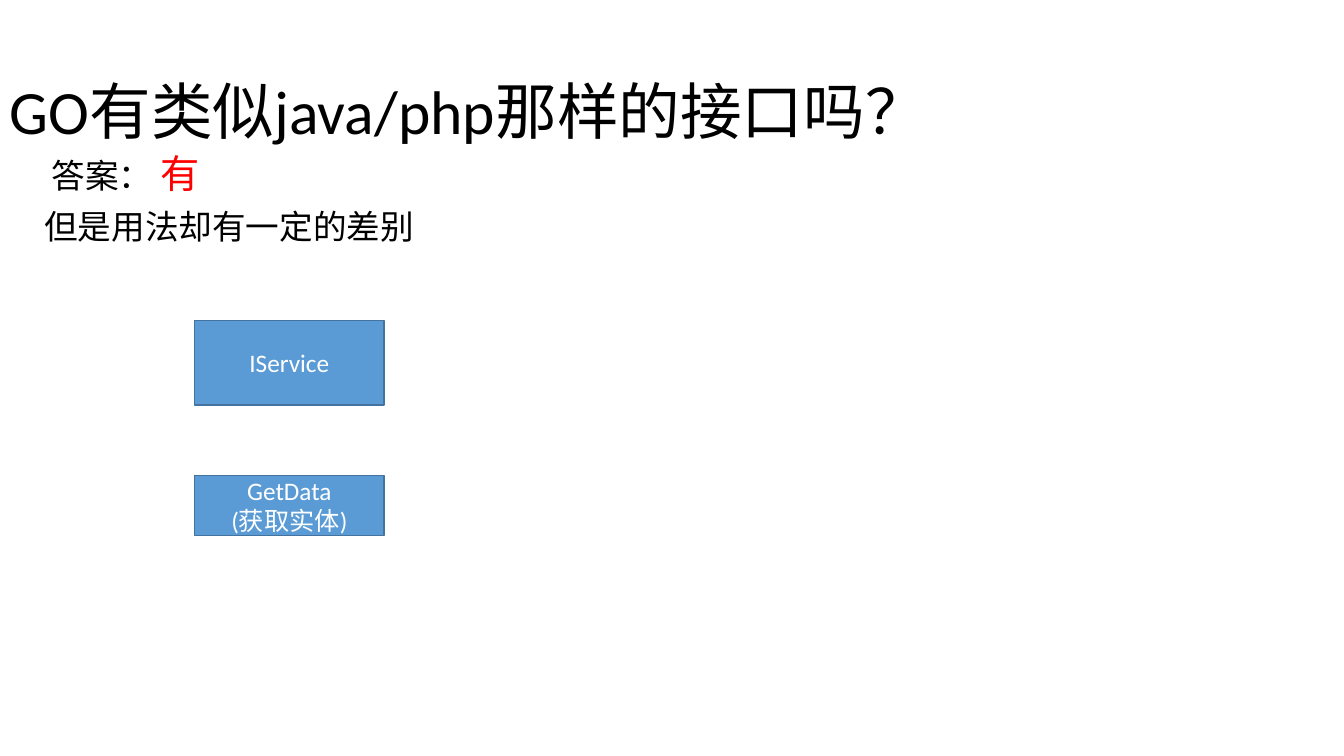
from pptx import Presentation
from pptx.dml.color import RGBColor
from pptx.enum.shapes import MSO_SHAPE
from pptx.enum.text import MSO_ANCHOR, PP_ALIGN
from pptx.util import Inches, Pt

RECTANGLE = MSO_SHAPE.RECTANGLE
TOP, MIDDLE = MSO_ANCHOR.TOP, MSO_ANCHOR.MIDDLE
LEFT, CENTER = PP_ALIGN.LEFT, PP_ALIGN.CENTER

FONT = "Calibri"
BLACK, WHITE, RED = "000000", "FFFFFF", "FF0000"
BOX_FILL, BOX_LINE = "5B9BD5", "43739E"

TITLE_FORMAT = {"alignment": LEFT, "line_spacing": 0.9}
BODY_FORMAT = {**TITLE_FORMAT, "space_before": Pt(10)}
BOX_FORMAT = {"alignment": CENTER}


def color(hex_string):
    return RGBColor.from_string(hex_string)


def write_text(shape, paragraphs, paragraph_format, anchor):
    """Each paragraph is a list of (text, size, colour) runs."""
    frame = shape.text_frame
    frame.word_wrap = True
    frame.vertical_anchor = anchor
    for index, runs in enumerate(paragraphs):
        paragraph = frame.add_paragraph() if index else frame.paragraphs[0]
        for name, value in paragraph_format.items():
            setattr(paragraph, name, value)
        for text, size, hex_string in runs:
            run = paragraph.add_run()
            run.text = text
            for name, value in {"name": FONT, "size": Pt(size)}.items():
                setattr(run.font, name, value)
            run.font.color.rgb = color(hex_string)


def add_title(slide, left, top, width, height):
    shape = slide.shapes.add_textbox(left, top, width, height)
    runs = [("GO有类似java/php那样的接口吗？", 44, BLACK)]
    write_text(shape, [runs], TITLE_FORMAT, MIDDLE)


def add_answer(slide, left, top, width, height):
    shape = slide.shapes.add_textbox(left, top, width, height)
    paragraphs = [
        [(" 答案： ", 24, BLACK), ("有", 28, RED)],
        [("但是用法却有一定的差别", 24, BLACK)],
    ]
    write_text(shape, paragraphs, BODY_FORMAT, TOP)


def add_interface_box(slide, left, top, width, height, lines):
    shape = slide.shapes.add_shape(RECTANGLE, left, top, width, height)
    shape.shadow.inherit = False
    shape.fill.solid()
    shape.fill.fore_color.rgb = color(BOX_FILL)
    shape.line.color.rgb = color(BOX_LINE)
    shape.line.width = Pt(1)
    paragraphs = [[(line, 18, WHITE)] for line in lines]
    write_text(shape, paragraphs, BOX_FORMAT, MIDDLE)


def main():
    presentation = Presentation()
    presentation.slide_width = Inches(13.33)
    presentation.slide_height = Inches(7.5)
    slide = presentation.slides.add_slide(presentation.slide_layouts[6])

    # Question and answer
    add_title(slide, Inches(0), Inches(0.41), Inches(11.5), Inches(1.45))
    add_answer(slide, Inches(0.34), Inches(1.48), Inches(10.02), Inches(1.35))

    # Interface and its method, in one column
    boxes = [
        (3.18, 0.84, ["IService"]),
        (4.72, 0.59, ["GetData", "(获取实体)"]),
    ]
    for top, height, lines in boxes:
        add_interface_box(slide, Inches(1.93), Inches(top), Inches(1.88),
                          Inches(height), lines)

    presentation.save("out.pptx")


if __name__ == "__main__":
    main()
